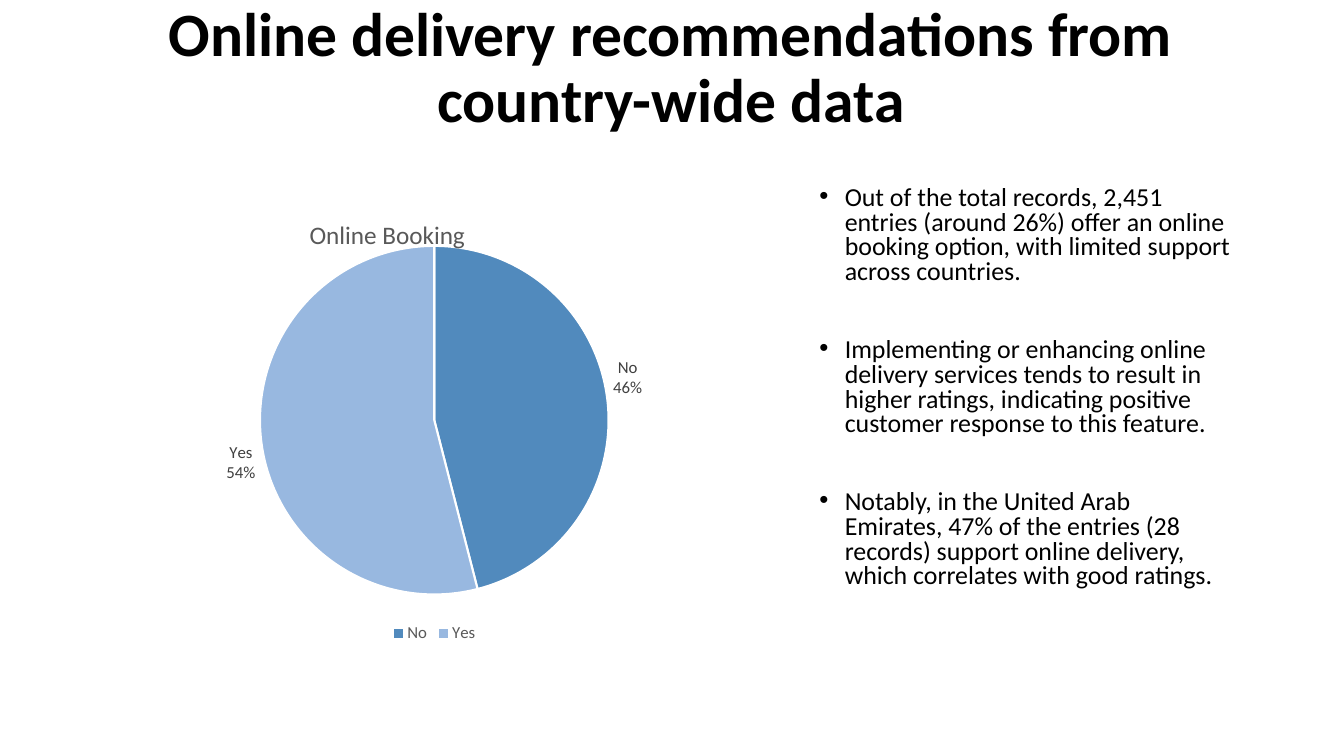
from lxml import etree
from pptx import Presentation
from pptx import util as u
from pptx.chart.data import CategoryChartData
from pptx.dml.color import RGBColor
from pptx.enum import chart as charts, text
from pptx.oxml import parse_xml
from pptx.oxml.ns import nsdecls, qn

COLORS = {
    "text": "000000", "caption": "595959", "label": "404040",
    "No": "518ABD", "Yes": "98B8E0", "edge": "FFFFFF",
}
ANSWERS = {"No": 46, "Yes": 54}
FINDINGS = [
    "Out of the total records, 2,451 entries (around 26%) offer an online booking option, "
    "with limited support across countries.",
    "Implementing or enhancing online delivery services tends to result in higher ratings, "
    "indicating positive customer response to this feature.",
    "Notably, in the United Arab Emirates, 47% of the entries (28 records) support online "
    "delivery, which correlates with good ratings.",
]


class SlideBuilder:
    """Holds the type style and the current slide, and adds elements to it."""

    def __init__(self, page, face="Calibri"):
        self.page = page
        self.face = face

    def style(self, font, size, color, bold=False):
        font.name = self.face
        font.size = u.Pt(size)
        font.bold = bold
        font.color.rgb = RGBColor.from_string(COLORS[color])

    def frame(self, place, anchor):
        box = self.page.shapes.add_textbox(*map(u.Cm, place))
        frame = box.text_frame
        frame.word_wrap = True
        frame.vertical_anchor = anchor
        return frame

    def add_words(self, para, words, size, spacing, bold=False):
        para.line_spacing = spacing
        span = para.add_run()
        span.text = words
        self.style(span.font, size, "text", bold)

    def heading(self, words, place):
        para = self.frame(place, text.MSO_ANCHOR.MIDDLE).paragraphs[0]
        para.alignment = text.PP_ALIGN.CENTER
        self.add_words(para, words, 44, 0.9, bold=True)

    def bullets(self, items, place):
        frame = self.frame(place, text.MSO_ANCHOR.TOP)
        for index, item in enumerate(items):
            para = frame.add_paragraph() if index else frame.paragraphs[0]
            para.space_before = u.Pt(37.5 if index else 10)
            self.add_words(para, item, 18.5, 0.8)
            props = para._p.get_or_add_pPr()
            indent = u.Cm(0.64)
            props.set("marL", str(indent))
            props.set("indent", str(-indent))
            etree.SubElement(props, qn("a:buFont")).set("typeface", "Arial")
            etree.SubElement(props, qn("a:buChar")).set("char", "•")

    def layout(self, **values):
        parts = "".join(f'<c:{key} val="{value}"/>' for key, value in values.items())
        return parse_xml(
            f'<c:layout {nsdecls("c")}><c:manualLayout>{parts}</c:manualLayout></c:layout>')

    def pie(self, title, shares, place):
        data = CategoryChartData()
        data.categories = list(shares)
        data.add_series("Series 1", list(shares.values()))
        chart = self.page.shapes.add_chart(
            charts.XL_CHART_TYPE.PIE, *map(u.Cm, place), data).chart
        self.style(chart.font, 10, "text")

        chart.has_title = True
        span = chart.chart_title.text_frame.paragraphs[0].add_run()
        span.text = title
        self.style(span.font, 18, "caption")
        title_xml = chart.chart_title._element
        for old in title_xml.findall(qn("c:layout")):
            title_xml.remove(old)
        title_xml.find(qn("c:tx")).addnext(
            self.layout(xMode="edge", yMode="edge", x=0.27, y=0.09))
        chart.chart_title.include_in_layout = False

        chart.has_legend = True
        chart.legend.position = charts.XL_LEGEND_POSITION.BOTTOM
        chart.legend.include_in_layout = False
        self.style(chart.legend.font, 12, "caption")

        plot = chart.plots[0]
        plot.vary_by_categories = True
        area = chart._chartSpace.chart.plotArea
        for old in area.findall(qn("c:layout")):
            area.remove(old)
        area.insert(0, self.layout(layoutTarget="inner", xMode="edge", yMode="edge",
                                   x=0.19, y=0.16, w=0.62, h=0.73))
        for index, name in enumerate(shares):
            slice_format = plot.series[0].points[index].format
            slice_format.fill.solid()
            slice_format.fill.fore_color.rgb = RGBColor.from_string(COLORS[name])
            slice_format.line.color.rgb = RGBColor.from_string(COLORS["edge"])
            slice_format.line.width = u.Pt(1.5)

        labels = plot.series[0].data_labels
        labels.show_value = False
        labels.show_percentage = True
        labels.show_category_name = True
        labels.number_format = "0%"
        labels.number_format_is_linked = False
        labels.position = charts.XL_LABEL_POSITION.OUTSIDE_END
        self.style(labels.font, 12, "label")
        separator = etree.Element(qn("c:separator"))
        separator.text = "\n"
        labels._element.find(qn("c:showBubbleSize")).addnext(separator)


def main():
    deck = Presentation()
    deck.slide_width, deck.slide_height = u.Cm(33.87), u.Cm(19.05)
    builder = SlideBuilder(deck.slides.add_slide(deck.slide_layouts[6]))
    builder.heading("Online delivery recommendations from country-wide data",
                    (2.54, 0, 28.75, 3.5))
    builder.bullets(FINDINGS, (20.4, 4.57, 10.9, 11.25))
    builder.pie("Online Booking", ANSWERS, (3.86, 4.27, 14.17, 12.04))
    deck.save("out.pptx")


if __name__ == "__main__":
    main()
